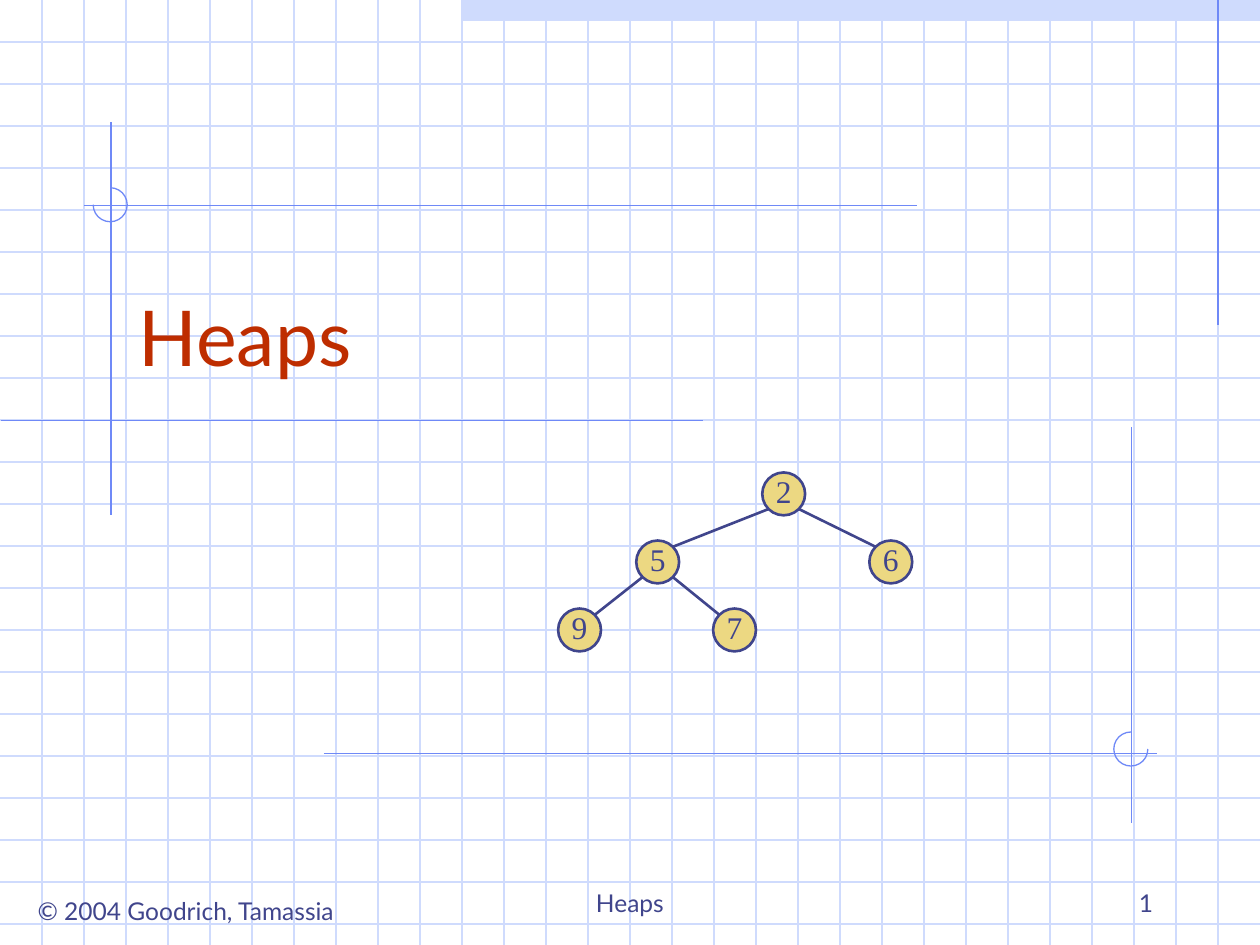
import pptx
import pptx.util
import pptx.dml.color
import pptx.enum.shapes
import pptx.enum.text
import lxml.etree
from dataclasses import dataclass

Inches = pptx.util.Inches
Pt = pptx.util.Pt
Shape = pptx.enum.shapes.MSO_SHAPE
Align = pptx.enum.text.PP_ALIGN
Anchor = pptx.enum.text.MSO_ANCHOR
Fit = pptx.enum.text.MSO_AUTO_SIZE


@dataclass(frozen=True)
class Theme:
    grid: str = "CFDBFD"
    rule: str = "6F89F7"
    ink: str = "40458C"
    node: str = "ECD882"
    title: str = "BE2D00"
    sans: str = "Lato"
    serif: str = "Times New Roman"
    big: int = 44
    mid: int = 18
    small: int = 14
    thin: float = 0.75
    bold: float = 1.5


THEME = Theme()


def color(code):
    return pptx.dml.color.RGBColor.from_string(code)


def write(frame, text, size=THEME.small, font=THEME.sans, ink=THEME.ink,
          align=Align.LEFT, anchor=Anchor.TOP, wrap=True, pad=(0.1, 0.05, 0.1, 0.05),
          fit=Fit.NONE):
    frame.word_wrap = wrap
    frame.auto_size = fit
    frame.vertical_anchor = anchor
    (frame.margin_left, frame.margin_top,
     frame.margin_right, frame.margin_bottom) = map(Inches, pad)
    para = frame.paragraphs[0]
    para.alignment = align
    run = para.add_run()
    run.text = text
    run.font.size = Pt(size)
    run.font.name = font
    run.font.color.rgb = color(ink)


def line(slide, start, end, ink=THEME.rule, width=THEME.thin):
    link = slide.shapes.add_connector(
        pptx.enum.shapes.MSO_CONNECTOR.STRAIGHT, *map(Inches, (*start, *end)))
    link.line.color.rgb = color(ink)
    link.line.width = Pt(width)
    lxml.etree.SubElement(link.element.spPr, pptx.oxml.ns.qn("a:effectLst"))


def shape(slide, kind, box, fill=None, ink=None, width=THEME.thin):
    item = slide.shapes.add_shape(kind, *map(Inches, box))
    item.shadow.inherit = False
    if fill:
        item.fill.solid()
        item.fill.fore_color.rgb = color(fill)
    else:
        item.fill.background()
    if ink:
        item.line.color.rgb = color(ink)
        item.line.width = Pt(width)
    else:
        item.line.fill.background()
    return item


def draw_grid(slide, box, step=1 / 3):
    left, top, wide, high = box
    shape(slide, Shape.RECTANGLE, (left + 11 * step, top, wide - 11 * step, step / 2),
          fill=THEME.grid)
    for row in range(1, 23):
        y = top + row * step
        line(slide, (left, y), (left + wide, y), THEME.grid)
    for col in range(1, 30):
        x = left + col * step
        line(slide, (x, top), (x, top + high), THEME.grid)
    edge = left + 29 * step
    line(slide, (edge, top), (edge, top + 2.58))


def draw_cross(slide, box, hub, start, end):
    left, top, wide, high = box
    x, y = left + hub[0], top + hub[1]
    line(slide, (left, y), (left + wide, y))
    line(slide, (x, top), (x, top + high))
    arc = shape(slide, Shape.ARC, (x - 0.14, y + hub[2] - 0.14, 0.27, 0.27), ink=THEME.rule)
    arc.adjustments[0] = start * 0.6
    arc.adjustments[1] = end * 0.6


def draw_title(slide, box):
    title = slide.shapes.title
    title.left, title.top, title.width, title.height = map(Inches, box)
    write(title.text_frame, "Heaps", size=THEME.big, ink=THEME.title, anchor=Anchor.BOTTOM)
    title.element.getparent().append(title.element)


def draw_tree(slide, box):
    left, top, wide, high = box
    size, rim = 0.34, 0.12
    row = (high - size) / 2
    spots = {"2": (1.62, 0), "6": (wide - size, 1), "5": (0.62, 1), "7": (1.23, 2), "9": (0, 2)}
    mids = {}
    for name, (x, level) in spots.items():
        y = level * row
        mids[name] = (left + x + size / 2, top + y + size / 2)
        node = shape(slide, Shape.OVAL, (left + x, top + y, size, size),
                     THEME.node, THEME.ink, THEME.bold)
        write(node.text_frame, name, size=THEME.mid, font=THEME.serif, align=Align.CENTER,
              anchor=Anchor.MIDDLE, wrap=False, pad=(0, 0, 0, 0.05))
    for top_node, low_node in ("25", "26", "59", "57"):
        (px, py), (cx, cy) = mids[top_node], mids[low_node]
        shift = rim if cx > px else -rim
        line(slide, (px + shift, py + rim), (cx - shift, cy - rim), THEME.ink, THEME.bold)


def draw_foot(slide, box):
    left, top, wide, high = box
    parts = (
        ("© 2004 Goodrich, Tamassia", (0.12, 0.23, 2.71, 0.34),
         dict(align=Align.CENTER, wrap=False, fit=Fit.SHAPE_TO_FIT_TEXT)),
        ("Heaps", ((wide - 3.17) / 2, 0, 3.17, high),
         dict(align=Align.CENTER, anchor=Anchor.BOTTOM)),
        ("1", (wide - 2.83, 0, 2.08, high),
         dict(align=Align.RIGHT, anchor=Anchor.BOTTOM)),
    )
    for text, (x, y, w, h), style in parts:
        note = slide.shapes.add_textbox(*map(Inches, (left + x, top + y, w, h)))
        write(note.text_frame, text, **style)


def main():
    deck = pptx.Presentation()
    deck.slide_width, deck.slide_height = Inches(10), Inches(7.5)
    slide = deck.slides.add_slide(deck.slide_layouts[5])
    draw_grid(slide, (0, 0, 10, 7.5))
    draw_cross(slide, (0.67, 0.97, 6.61, 3.12), (0.21, 0.66, 0), 270, 180)
    line(slide, (0.01, 3.34), (5.58, 3.34))
    draw_cross(slide, (2.57, 3.39, 6.61, 3.14), (6.41, 2.59, -0.03), 0, 270)
    draw_foot(slide, (0, 6.83, 10, 0.5))
    draw_title(slide, (1, 1.83, 8.5, 1.25))
    draw_tree(slide, (4.43, 3.75, 2.81, 1.42))
    deck.save("out.pptx")


if __name__ == "__main__":
    main()
